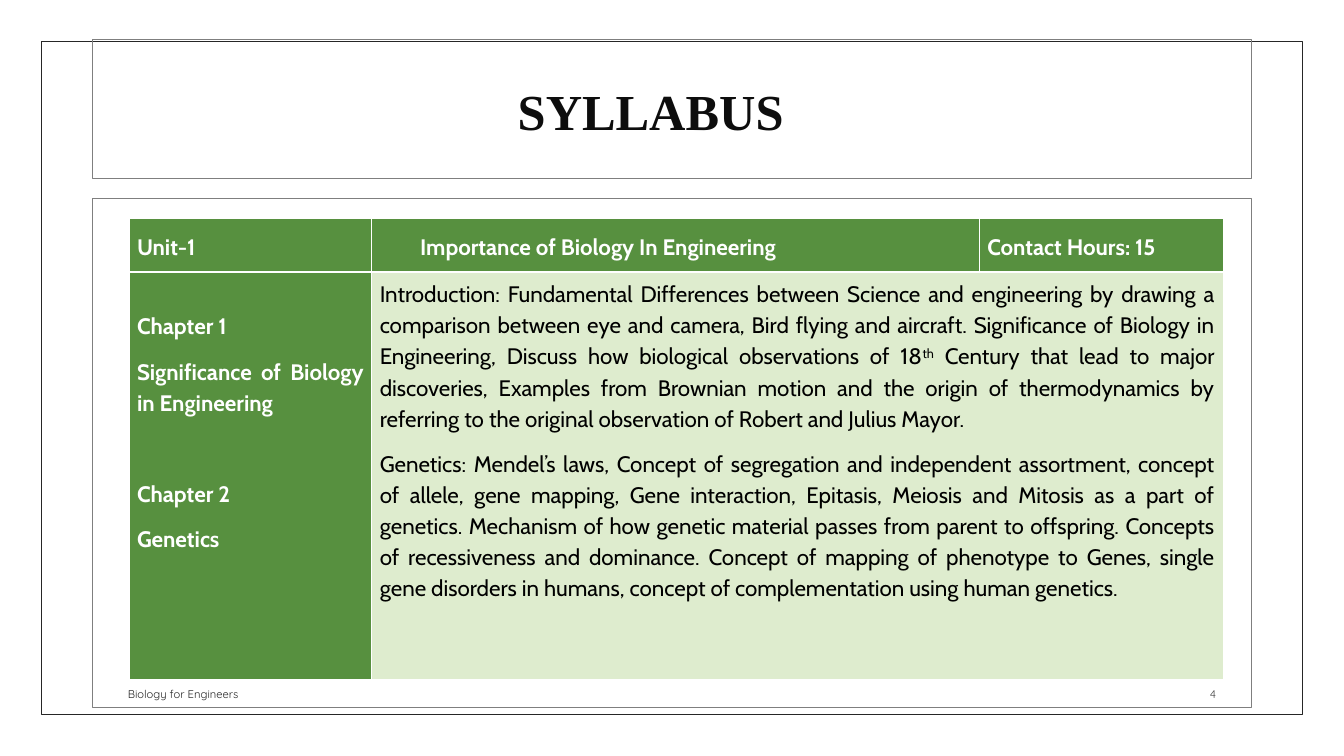
from dataclasses import dataclass

import pptx
import pptx.dml.color
import pptx.enum.shapes
import pptx.enum.text
import pptx.oxml
import pptx.oxml.ns
import pptx.util

Inches = pptx.util.Inches
Pt = pptx.util.Pt
Align = pptx.enum.text.PP_ALIGN
Anchor = pptx.enum.text.MSO_ANCHOR
GREEN, PALE, WHITE, BLACK = "57903F", "DEECCE", "FFFFFF", "000000"


@dataclass
class Frame:
    left: float
    top: float
    width: float
    height: float
    color: str
    weight: float


@dataclass
class Label:
    text: str
    left: float
    top: float
    width: float
    height: float
    font: str
    size: float
    color: str
    align: Align = Align.LEFT
    anchor: Anchor = Anchor.BOTTOM
    bold: bool = False
    right: float = 0.1  # right inset


@dataclass
class Entry:
    row: int
    col: int
    paras: list[str]
    fill: str = GREEN
    color: str = WHITE
    bold: bool = True
    anchor: Anchor = Anchor.MIDDLE
    left: float = 0.08
    top: float = 0.05


BORDER = Frame(0.41, 0.41, 12.52, 6.68, "262626", 0.5)
PANELS = [
    Frame(0.92, 1.97, 11.5, 5.05, "7F7F7F", 1),
    Frame(0.92, 0.39, 11.5, 1.38, "7F7F7F", 1),
]
LABELS = [
    Label("SYLLABUS", 0.92, 0.39, 11.5, 1.4, "Times New Roman", 36, "0D0D0D",
          Align.CENTER, Anchor.MIDDLE, True, 0.52),
    Label("4", 11.25, 6.6, 0.92, 0.4, "Quicksand", 8, "404040", Align.RIGHT),
    Label("Biology for Engineers", 1.17, 6.6, 6.36, 0.4, "Quicksand", 8, "262626"),
]
INTRO = (
    "Introduction: Fundamental Differences between Science and engineering by "
    "drawing a comparison between eye and camera, Bird flying and aircraft. "
    "Significance of Biology in Engineering, Discuss how biological observations "
    "of 18^th^ Century that lead to major discoveries, Examples from Brownian "
    "motion and the origin of thermodynamics by referring to the original "
    "observation of Robert and Julius Mayor."
)
GENES = (
    "Genetics: Mendel’s laws, Concept of segregation and independent assortment, "
    "concept of allele, gene mapping, Gene interaction, Epitasis, Meiosis and "
    "Mitosis as a part of genetics. Mechanism of how genetic material passes from "
    "parent to offspring. Concepts of recessiveness and dominance. Concept of "
    "mapping of phenotype to Genes, single gene disorders in humans, concept of "
    "complementation using human genetics."
)
TOPICS = ["Chapter 1", "Significance of Biology in Engineering", "Chapter 2", "Genetics"]
ENTRIES = [
    Entry(0, 0, ["Unit-1"]),
    Entry(0, 1, ["Importance of Biology In Engineering"], left=0.48),
    Entry(0, 2, ["Contact Hours: 15"]),
    Entry(1, 0, TOPICS, anchor=Anchor.TOP, top=0.37),
    Entry(1, 1, [INTRO, GENES], PALE, BLACK, False, Anchor.TOP),
]


def rgb(code: str) -> pptx.dml.color.RGBColor:
    return pptx.dml.color.RGBColor.from_string(code)


def style(font, name: str, size: float, color: str, bold: bool) -> None:
    font.name, font.size, font.bold = name, Pt(size), bold
    font.color.rgb = rgb(color)


def draw_frame(slide, item: Frame) -> None:
    box = slide.shapes.add_shape(
        pptx.enum.shapes.MSO_SHAPE.RECTANGLE, Inches(item.left), Inches(item.top),
        Inches(item.width), Inches(item.height))
    box.shadow.inherit = False
    box.fill.background()
    box.line.color.rgb = rgb(item.color)
    box.line.width = Pt(item.weight)


def draw_label(slide, item: Label) -> None:
    box = slide.shapes.add_textbox(
        Inches(item.left), Inches(item.top), Inches(item.width), Inches(item.height))
    frame = box.text_frame
    frame.word_wrap = True
    frame.vertical_anchor = item.anchor
    frame.margin_right = Inches(item.right)
    para = frame.paragraphs[0]
    para.text, para.alignment = item.text, item.align
    style(para.font, item.font, item.size, item.color, item.bold)


def add_edges(cell, row: int) -> None:
    """White cell borders, thicker between the header and the body."""
    props = cell._tc.get_or_add_tcPr()
    thick = "B" if row == 0 else "T"
    for spot, side in enumerate("LRTB"):
        width = Pt(1.47 if side == thick else 0.45)
        props.insert(spot, pptx.oxml.parse_xml(
            f'<a:ln{side} {pptx.oxml.ns.nsdecls("a")} w="{width}"><a:solidFill>'
            f'<a:srgbClr val="{WHITE}"/></a:solidFill></a:ln{side}>'))


def fill_cell(cell, item: Entry) -> None:
    cell.fill.solid()
    cell.fill.fore_color.rgb = rgb(item.fill)
    cell.vertical_anchor = item.anchor
    cell.margin_left, cell.margin_right = Inches(item.left), Inches(0.08)
    cell.margin_top, cell.margin_bottom = Inches(item.top), Inches(0.05)
    frame = cell.text_frame
    for index, text in enumerate(item.paras):
        para = frame.add_paragraph() if index else frame.paragraphs[0]
        para.alignment = Align.JUSTIFY
        para.line_spacing, para.space_after = 1.15, Pt(10)
        if text == "Chapter 2":
            para.space_before = Pt(33)
        # Text between carets is superscript
        for part, words in enumerate(text.split("^")):
            run = para.add_run()
            run.text = words
            if part % 2:
                run._r.get_or_add_rPr().set("baseline", "30000")
        style(para.font, "Cabin", 16, item.color, item.bold)


def draw_table(slide) -> None:
    table = slide.shapes.add_table(
        2, 3, Inches(1.28), Inches(2.17), Inches(10.86), Inches(4.57)).table
    table.horz_banding = False
    for col, width in zip(table.columns, (2.41, 6.03, 2.42)):
        col.width = Inches(width)
    for row, height in zip(table.rows, (0.53, 4.04)):
        row.height = Inches(height)
    table.cell(1, 1).merge(table.cell(1, 2))
    for row in range(2):
        for col in range(3):
            add_edges(table.cell(row, col), row)
    for item in ENTRIES:
        fill_cell(table.cell(item.row, item.col), item)


def main() -> None:
    deck = pptx.Presentation()
    deck.slide_width, deck.slide_height = Inches(13.34), Inches(7.5)
    slide = deck.slides.add_slide(deck.slide_layouts[6])
    # Border, table, panels, then title and footer
    draw_frame(slide, BORDER)
    draw_table(slide)
    for panel in PANELS:
        draw_frame(slide, panel)
    for label in LABELS:
        draw_label(slide, label)
    deck.save("out.pptx")


if __name__ == "__main__":
    main()
